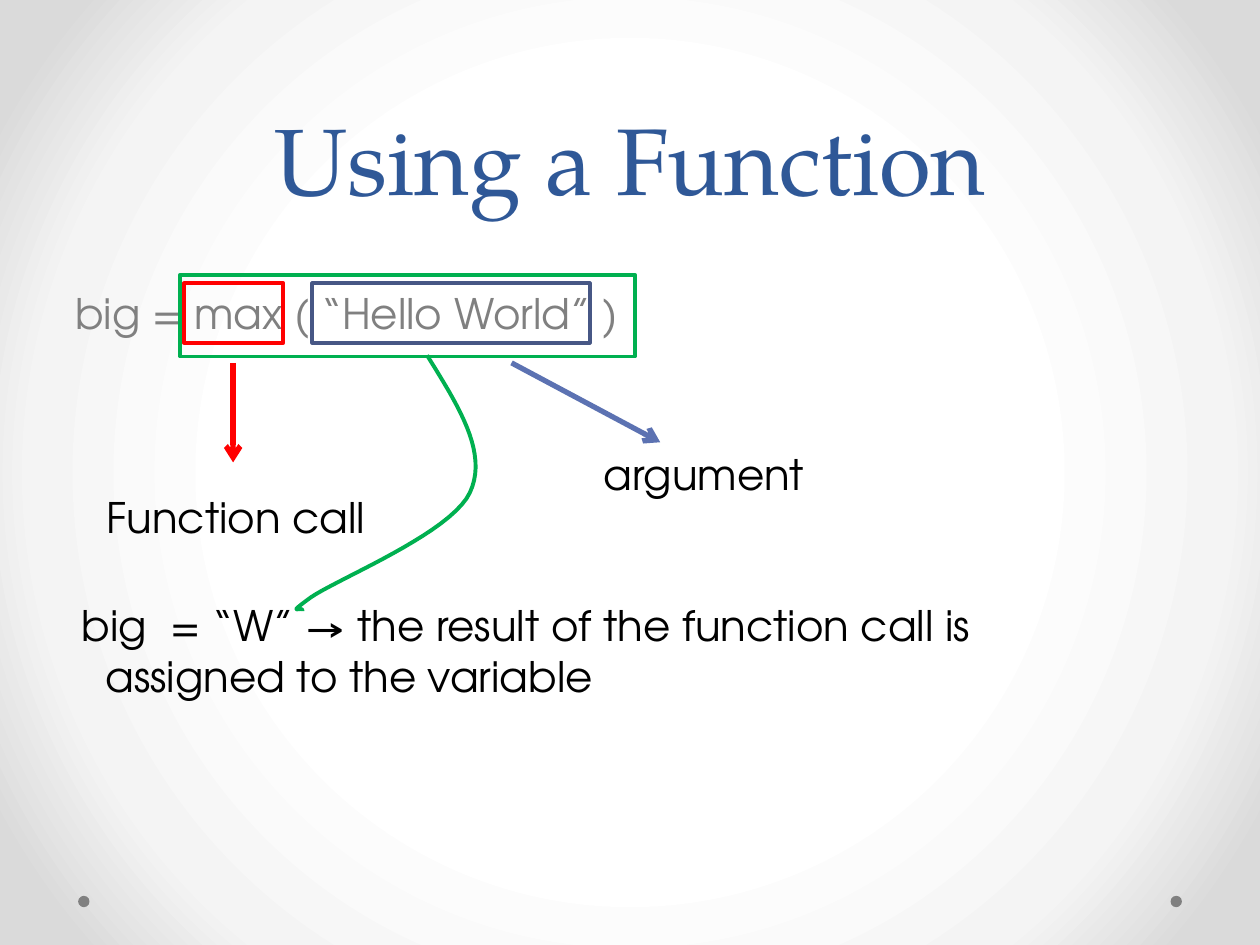
"""Build the slide that explains a function call, its argument and its result."""
from dataclasses import dataclass
from pptx import Presentation
from pptx.dml.color import RGBColor as Rgb
from pptx.enum.shapes import MSO_CONNECTOR as Con, MSO_SHAPE as Geo
from pptx.enum.text import MSO_ANCHOR as Anc, PP_ALIGN as Al
from pptx.oxml import parse_xml
from pptx.oxml.ns import nsdecls
from pptx.oxml.xmlchemy import OxmlElement as Node
from pptx.util import Inches as In, Pt


@dataclass(frozen=True)
class Theme:
    head: str = "TeX Gyre Pagella"
    body: str = "TeX Gyre Adventor"
    title: str = "2F5897"
    gray: str = "808080"
    ink: str = "000000"
    red: str = "FF0000"
    green: str = "00B050"
    navy: str = "475785"
    blue: str = "5C72B2"
    big: int = 54
    text: int = 24
    thin: float = 2.25
    thick: float = 3


T = Theme()
SIZE = 10, 7.5
GLOW = (50, "FFFFFF"), (76, "F4F4F4"), (92, "DADADA")
TITLE = "Using a Function"
CODE = "big = max ( “Hello World” )"
NOTES = [
    ((4.69, 3.51, 2.44, 0.5), [("argument", 0)], 0),
    ((0.75, 3.85, 3.15, 0.5), [("Function call", 0)], 0),
    ((0.55, 4.71, 7.6, 0.91),
     [("big", 0), (" ", 6.65),
      ("= “W” → the result of the function call is assigned to the variable", 0)], 0.19),
]
BOXES = [
    ((2.48, 2.25, 2.2, 0.47), T.navy),
    ((1.46, 2.25, 0.79, 0.47), T.red),
    ((1.43, 2.18, 3.61, 0.65), T.green),
]
ARROWS = [((4.06, 2.88), (5.24, 3.51), T.blue), ((1.85, 2.88), (1.85, 3.67), T.red)]
START = 3.39, 2.82
CURVES = [
    ((3.63, 3.21), (3.88, 3.59), (3.73, 3.91)),
    ((3.58, 4.23), (2.69, 4.59), (2.47, 4.74)),
    ((2.25, 4.9), (2.41, 4.8), (2.4, 4.85)),
]
DOT, EDGE, LOW = 0.09, 0.62, 7.11
STEPS = 20


def glow(slide):
    stops = "".join(f'<a:gs pos="{at * 1000}"><a:srgbClr val="{hue}"/></a:gs>'
                    for at, hue in GLOW)
    rect = 'l="50000" t="50000" r="50000" b="50000"'
    back = parse_xml(
        f'<p:bg {nsdecls("p", "a")}><p:bgPr><a:gradFill rotWithShape="1">'
        f'<a:gsLst>{stops}</a:gsLst><a:path path="circle"><a:fillToRect {rect}/></a:path>'
        '</a:gradFill><a:effectLst/></p:bgPr></p:bg>')
    slide.element.cSld.insert(0, back)


def write(at, runs, font=T.body, size=T.text, hue=T.ink, top=0.05, hang=0):
    frame = shapes.add_textbox(*map(In, at)).text_frame
    frame.word_wrap = True
    frame.margin_top = In(top)
    para = frame.paragraphs[0]
    if hang:
        props = para._p.get_or_add_pPr()
        props.set("marL", str(In(hang)))
        props.set("indent", str(-In(hang)))
    for text, gap in runs:
        run = para.add_run()
        run.text = text
        run.font.name, run.font.size = font, Pt(size)
        run.font.color.rgb = Rgb.from_string(hue)
        if gap:
            run._r.get_or_add_rPr().set("spc", str(round(gap * 100)))
    return frame


def stroke(shape, hue, width):
    shape.line.color.rgb = Rgb.from_string(hue)
    shape.line.width = Pt(width)


def outline(shape, hue):
    shape.shadow.inherit = False
    shape.fill.background()
    stroke(shape, hue, T.thin)


def arrow(start, end, hue):
    line = shapes.add_connector(Con.STRAIGHT, *map(In, start + end))
    stroke(line, hue, T.thick)
    tip = Node("a:tailEnd")
    tip.set("type", "arrow")
    line.line._get_or_add_ln().append(tip)
    line._element.spPr.append(Node("a:effectLst"))


def trace(start, curves):
    for curve in curves:
        knots = (start, *curve)
        for step in range(1, STEPS + 1):
            t = step / STEPS
            mix = (1 - t) ** 3, 3 * t * (1 - t) ** 2, 3 * t * t * (1 - t), t ** 3
            yield tuple(In(sum(m * k[axis] for m, k in zip(mix, knots))) for axis in (0, 1))
        start = curve[-1]


deck = Presentation()
deck.slide_width, deck.slide_height = map(In, SIZE)
slide = deck.slides.add_slide(deck.slide_layouts[6])
shapes = slide.shapes
glow(slide)

for left in (SIZE[0] - EDGE - DOT, EDGE):
    dot = shapes.add_shape(Geo.OVAL, *map(In, (left, LOW, DOT, DOT)))
    dot.shadow.inherit = False
    dot.fill.solid()
    dot.fill.fore_color.rgb = Rgb.from_string(T.gray)
    dot.line.fill.background()

head = write((0.5, 0, 9, 1.75), [(TITLE, 0)], T.head, T.big, T.title)
head.vertical_anchor = Anc.BOTTOM
head.paragraphs[0].alignment = Al.CENTER
head.paragraphs[0].line_spacing = Pt(58)
write((0.5, 1.75, 4.97, 2.39), [(CODE, 0)], hue=T.gray, top=0.53)

for at, runs, hang in NOTES:
    write(at, runs, hang=hang)
for at, hue in BOXES:
    outline(shapes.add_shape(Geo.RECTANGLE, *map(In, at)), hue)
for start, end, hue in ARROWS:
    arrow(start, end, hue)

pen = shapes.build_freeform(*map(In, START))
pen.add_line_segments(list(trace(START, CURVES)), close=False)
outline(pen.convert_to_shape(), T.green)

deck.save("out.pptx")
